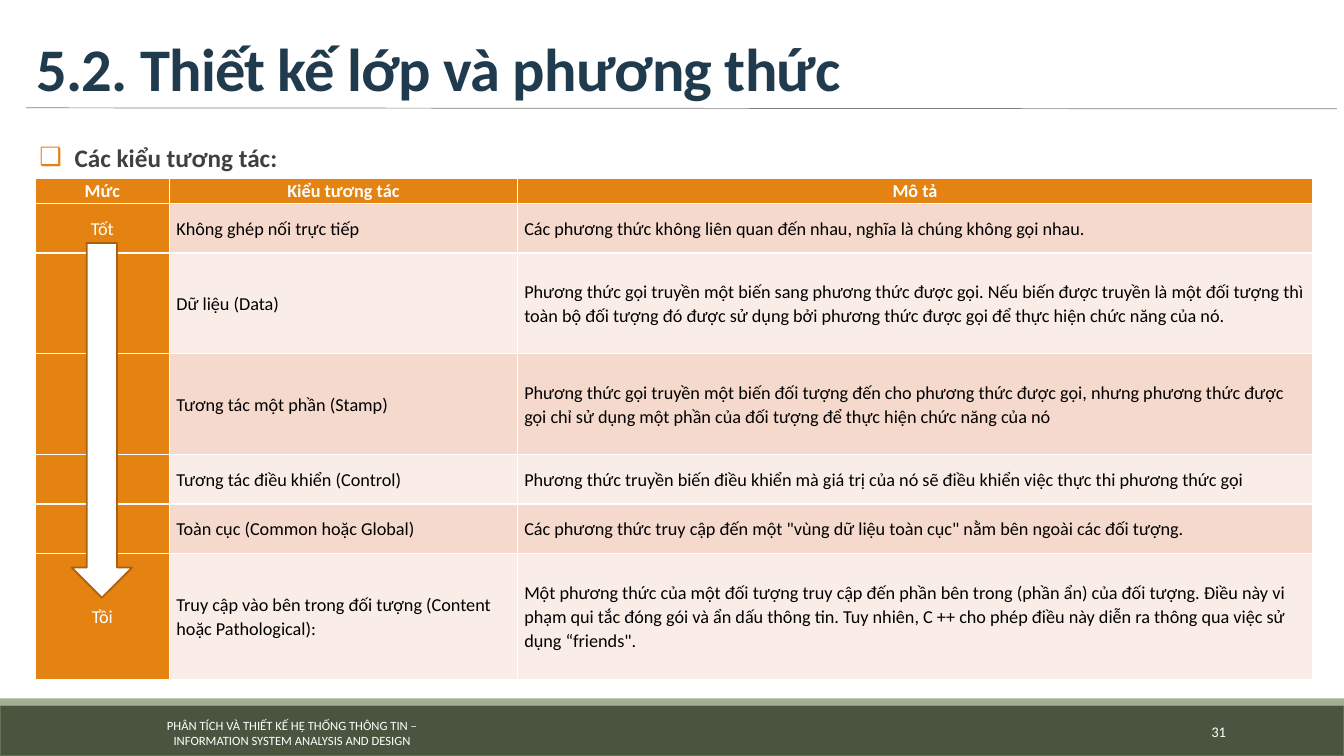
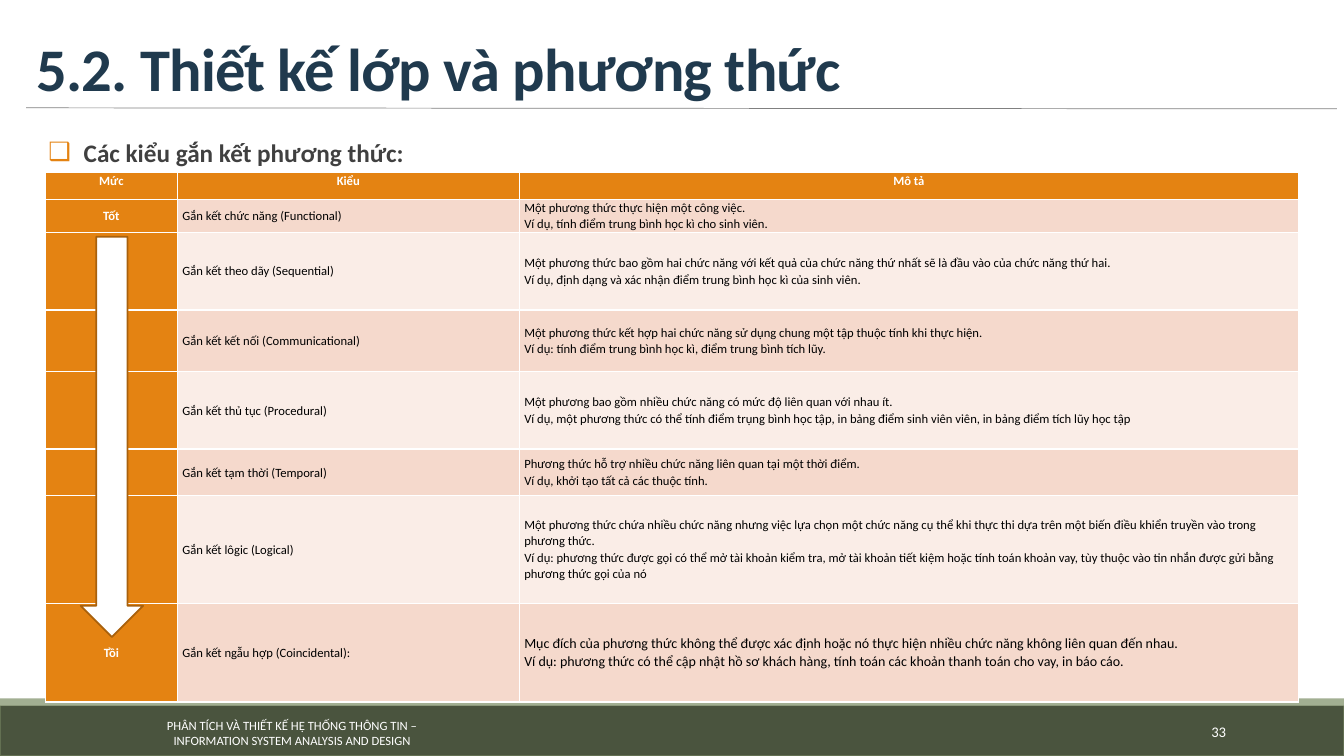
"""Build two slides on kinds of coupling and cohesion between methods."""
import pptx
import pptx.dml.color
import pptx.enum.shapes
import pptx.enum.text
import pptx.oxml
import pptx.oxml.ns
import pptx.util

Inches = pptx.util.Inches
Pt = pptx.util.Pt
RGBColor = pptx.dml.color.RGBColor
ALIGN = pptx.enum.text.PP_ALIGN
ANCHOR = pptx.enum.text.MSO_ANCHOR
SHAPE = pptx.enum.shapes.MSO_SHAPE

WHITE = RGBColor(0xFF, 0xFF, 0xFF)
BLACK = RGBColor(0x00, 0x00, 0x00)
NAVY = RGBColor(0x20, 0x3A, 0x4E)
CHARCOAL = RGBColor(0x40, 0x40, 0x40)
GRAY = RGBColor(0x80, 0x80, 0x80)
OLIVE = RGBColor(0x4A, 0x54, 0x3E)
OLIVE_EDGE = RGBColor(0x63, 0x70, 0x52)
SAGE = RGBColor(0xA2, 0xAF, 0x92)
ORANGE = RGBColor(0xE4, 0x83, 0x12)
BROWN = RGBColor(0xA9, 0x61, 0x0D)
BANDS = [RGBColor(0xFA, 0xED, 0xE7), RGBColor(0xF5, 0xD9, 0xCC)]

FONT = "Calibri"
TITLE = "5.2. Thiết kế lớp và phương thức"
FOOTER = [
    "PHÂN TÍCH VÀ THIẾT KẾ HỆ THỐNG THÔNG TIN –",
    "INFORMATION SYSTEM ANALYSIS AND DESIGN",
]
FRAME_FORMAT = {"word_wrap": True, "auto_size": pptx.enum.text.MSO_AUTO_SIZE.NONE}
BODY_FORMAT = {"level": 1, "line_spacing": 1.2, "space_before": Pt(12), "space_after": Pt(4)}

TOPICS = [
    {
        "number": "31",
        "heading": "Các kiểu tương tác:",
        "body": (0.17, 1.3, 13.09, 5.45),
        "table": (0.35, 1.77, 12.68, 4.97),
        "arrow": (0.71, 2.41, 0.6, 3.52),
        "columns": [1.33, 3.45, 7.89],
        "heights": [0.25, 0.49, 1, 1, 0.49, 0.49, 1.25],
        "margin": 0.07,
        "size": 13,
        "last_size": 13,
        "bold_levels": False,
        "rows": [
            ("Mức", "Kiểu tương tác", "Mô tả"),
            ("Tốt", "Không ghép nối trực tiếp",
             "Các phương thức không liên quan đến nhau, nghĩa là chúng không gọi nhau."),
            ("", "Dữ liệu (Data)",
             "Phương thức gọi truyền một biến sang phương thức được gọi. Nếu biến được truyền là một "
             "đối tượng thì toàn bộ đối tượng đó được sử dụng bởi phương thức được gọi để thực hiện "
             "chức năng của nó."),
            ("", "Tương tác một phần (Stamp)",
             "Phương thức gọi truyền một biến đối tượng đến cho phương thức được gọi, nhưng phương "
             "thức được gọi chỉ sử dụng một phần của đối tượng để thực hiện chức năng của nó"),
            ("", "Tương tác điều khiển (Control)",
             "Phương thức truyền biến điều khiển mà giá trị của nó sẽ điều khiển việc thực thi "
             "phương thức gọi"),
            ("", "Toàn cục (Common hoặc Global)",
             "Các phương thức truy cập đến một \"vùng dữ liệu toàn cục\" nằm bên ngoài các đối tượng."),
            ("Tồi", "Truy cập vào bên trong đối tượng (Content hoặc Pathological):",
             "Một phương thức của một đối tượng truy cập đến phần bên trong (phần ẩn) của đối tượng. "
             "Điều này vi phạm qui tắc đóng gói và ẩn dấu thông tin. Tuy nhiên, C ++ cho phép điều "
             "này diễn ra thông qua việc sử dụng “friends\"."),
        ],
    },
    {
        "number": "33",
        "heading": "Các kiểu gắn kết phương thức:",
        "body": (0.26, 1.25, 12.8, 5.61),
        "table": (0.45, 1.71, 12.43, 5.25),
        "arrow": (0.8, 2.35, 0.62, 3.97),
        "columns": [1.31, 3.39, 7.73],
        "heights": [0.27, 0.32, 0.77, 0.61, 0.77, 0.46, 1.07, 0.98],
        "margin": 0.05,
        "size": 9,
        "last_size": 10,
        "bold_levels": True,
        "rows": [
            ("Mức", "Kiểu", "Mô tả"),
            ("Tốt", "Gắn kết chức năng (Functional)",
             "Một phương thức thực hiện một công việc.\n"
             "Ví dụ, tính điểm trung bình học kì cho sinh viên."),
            ("", "Gắn kết theo dãy (Sequential)",
             "Một phương thức bao gồm hai chức năng với kết quả của chức năng thứ nhất sẽ là đầu vào "
             "của chức năng thứ hai.\n"
             "Ví dụ, định dạng và xác nhận điểm trung bình học kì của sinh viên."),
            ("", "Gắn kết kết nối (Communicational)",
             "Một phương thức kết hợp hai chức năng sử dụng chung một tập thuộc tính khi thực hiện.\n"
             "Ví dụ: tính điểm trung bình học kì, điểm trung bình tích lũy."),
            ("", "Gắn kết thủ tục (Procedural)",
             "Một phương bao gồm nhiều chức năng có mức độ liên quan với nhau ít.\n"
             "Ví dụ, một phương thức có thể tính điểm trụng bình học tập, in bảng điểm sinh viên "
             "viên, in bảng điểm tích lũy học tập"),
            ("", "Gắn kết tạm thời (Temporal)",
             "Phương thức hỗ trợ nhiều chức năng liên quan tại một thời điểm.\n"
             "Ví dụ, khởi tạo tất cả các thuộc tính."),
            ("", "Gắn kết lôgic (Logical)",
             "Một phương thức chứa nhiều chức năng nhưng việc lựa chọn một chức năng cụ thể khi thực "
             "thi dựa trên một biến điều khiển truyền vào trong phương thức.\n"
             "Ví dụ: phương thức được gọi có thể mở tài khoản kiểm tra, mở tài khoản tiết kiệm hoặc "
             "tính toán khoản vay, tùy thuộc vào tin nhắn được gửi bằng phương thức gọi của nó"),
            ("Tồi", "Gắn kết ngẫu hợp (Coincidental):",
             "Mục đích của phương thức không thể được xác định hoặc nó thực hiện nhiều chức năng "
             "không liên quan đến nhau.\n"
             "Ví dụ: phương thức có thể cập nhật hồ sơ khách hàng, tính toán các khoản thanh toán "
             "cho vay, in báo cáo."),
        ],
    },
]


def apply(target, values):
    """Set each named attribute on the target."""
    for name, value in values.items():
        setattr(target, name, value)


def write(frame, lines, size, color, bold, para_format):
    """Fill a text frame with one formatted paragraph per line."""
    for index, line in enumerate(lines):
        para = frame.paragraphs[0] if index == 0 else frame.add_paragraph()
        apply(para, para_format)
        span = para.add_run()
        span.text = line
        apply(span.font, {"name": FONT, "size": Pt(size), "bold": bold})
        span.font.color.rgb = color


deck = pptx.Presentation()
apply(deck, {"slide_width": Inches(13.33), "slide_height": Inches(7.5)})
layout = deck.slide_layouts[1]
pages = [deck.slides.add_slide(layout) for topic in TOPICS]

shapes = pages[0].shapes
shared = []
for top, height, fill, edge in [(7, 0.5, OLIVE, OLIVE_EDGE), (6.93, 0.07, SAGE, None)]:
    band = shapes.add_shape(SHAPE.RECTANGLE, 0, Inches(top), Inches(13.33), Inches(height))
    band.shadow.inherit = False
    band.fill.solid()
    band.fill.fore_color.rgb = fill
    if edge:
        band.line.color.rgb = edge
        band.line.width = Pt(1.25)
    else:
        band.line.fill.background()
    shared.append(band)

rule = shapes.add_connector(
    pptx.enum.shapes.MSO_CONNECTOR.STRAIGHT, Inches(0.26), Inches(1.07), Inches(13.26), Inches(1.08))
rule.line.color.rgb = GRAY
rule.line.width = Pt(0.5)
rule.element.spPr.append(pptx.oxml.parse_xml(f"<a:effectLst {pptx.oxml.ns.nsdecls('a')}/>"))
shared.append(rule)

footer = shapes.add_textbox(Inches(1.12), Inches(7.11), Inches(3.55), Inches(0.32))
apply(footer.text_frame, FRAME_FORMAT | {"vertical_anchor": ANCHOR.MIDDLE})
write(footer.text_frame, FOOTER, 9, WHITE, False, {"alignment": ALIGN.CENTER})
shared.append(footer)

for number, shape in enumerate(shared, 101):
    shape.element.xpath(".//p:cNvPr")[0].set("id", str(number))
    layout.shapes.element.append(shape.element)

for page, topic in zip(pages, TOPICS):
    title = page.shapes.title
    apply(title, dict(zip(("left", "top", "width", "height"), map(Inches, (0.26, 0.31, 13, 0.77)))))
    apply(title.text_frame, FRAME_FORMAT | {"vertical_anchor": ANCHOR.BOTTOM})
    write(title.text_frame, [TITLE], 43.2, NAVY, True, {"alignment": ALIGN.LEFT, "line_spacing": 0.85})
    title.text_frame.paragraphs[0].runs[0].font._element.set("spc", "-50")

    body = page.placeholders[1]
    apply(body, dict(zip(("left", "top", "width", "height"), map(Inches, topic["body"]))))
    apply(body.text_frame, FRAME_FORMAT | {"margin_left": 0, "margin_right": 0})
    write(body.text_frame, [topic["heading"]], 18, CHARCOAL, True, BODY_FORMAT)
    bullet = body.text_frame.paragraphs[0]._p.get_or_add_pPr()
    bullet.set("marL", str(Inches(0.57)))
    bullet.set("indent", str(Inches(-0.35)))
    for markup in (f'<a:buClr {{}}><a:srgbClr val="{ORANGE}"/></a:buClr>', '<a:buChar {} char="❑"/>'):
        bullet.append(pptx.oxml.parse_xml(markup.format(pptx.oxml.ns.nsdecls("a"))))

    box = page.shapes.add_textbox(Inches(10.83), Inches(7.06), Inches(1.43), Inches(0.4))
    apply(box.text_frame, FRAME_FORMAT | {"vertical_anchor": ANCHOR.MIDDLE})
    write(box.text_frame, [topic["number"]], 10.5, WHITE, False, {"alignment": ALIGN.RIGHT})

    rows = topic["rows"]
    table = page.shapes.add_table(len(rows), 3, *map(Inches, topic["table"])).table
    table.first_col = True
    for column, width in zip(table.columns, topic["columns"]):
        column.width = Inches(width)
    for row, height in zip(table.rows, topic["heights"]):
        row.height = Inches(height)
    margin = Inches(topic["margin"])
    cell_format = {"margin_left": margin, "margin_right": margin, "margin_top": 0, "margin_bottom": 0}
    for row_index, texts in enumerate(rows):
        for column_index, text in enumerate(texts):
            cell = table.cell(row_index, column_index)
            header = row_index == 0
            accent = header or column_index == 0
            apply(cell, cell_format | {"vertical_anchor": ANCHOR.TOP if header else ANCHOR.MIDDLE})
            cell.fill.solid()
            cell.fill.fore_color.rgb = ORANGE if accent else BANDS[row_index % 2]
            if text:
                last = row_index == len(rows) - 1 and column_index == 2
                write(
                    cell.text_frame, text.split("\n"),
                    topic["last_size"] if last else topic["size"],
                    WHITE if accent else BLACK,
                    header or (accent and topic["bold_levels"]),
                    {"alignment": ALIGN.CENTER if accent else ALIGN.LEFT, "line_spacing": 1.07})

    arrow = page.shapes.add_shape(SHAPE.DOWN_ARROW, *map(Inches, topic["arrow"]))
    arrow.shadow.inherit = False
    arrow.fill.solid()
    arrow.fill.fore_color.rgb = WHITE
    arrow.line.color.rgb = BROWN
    arrow.line.width = Pt(1.25)

deck.save("out.pptx")
